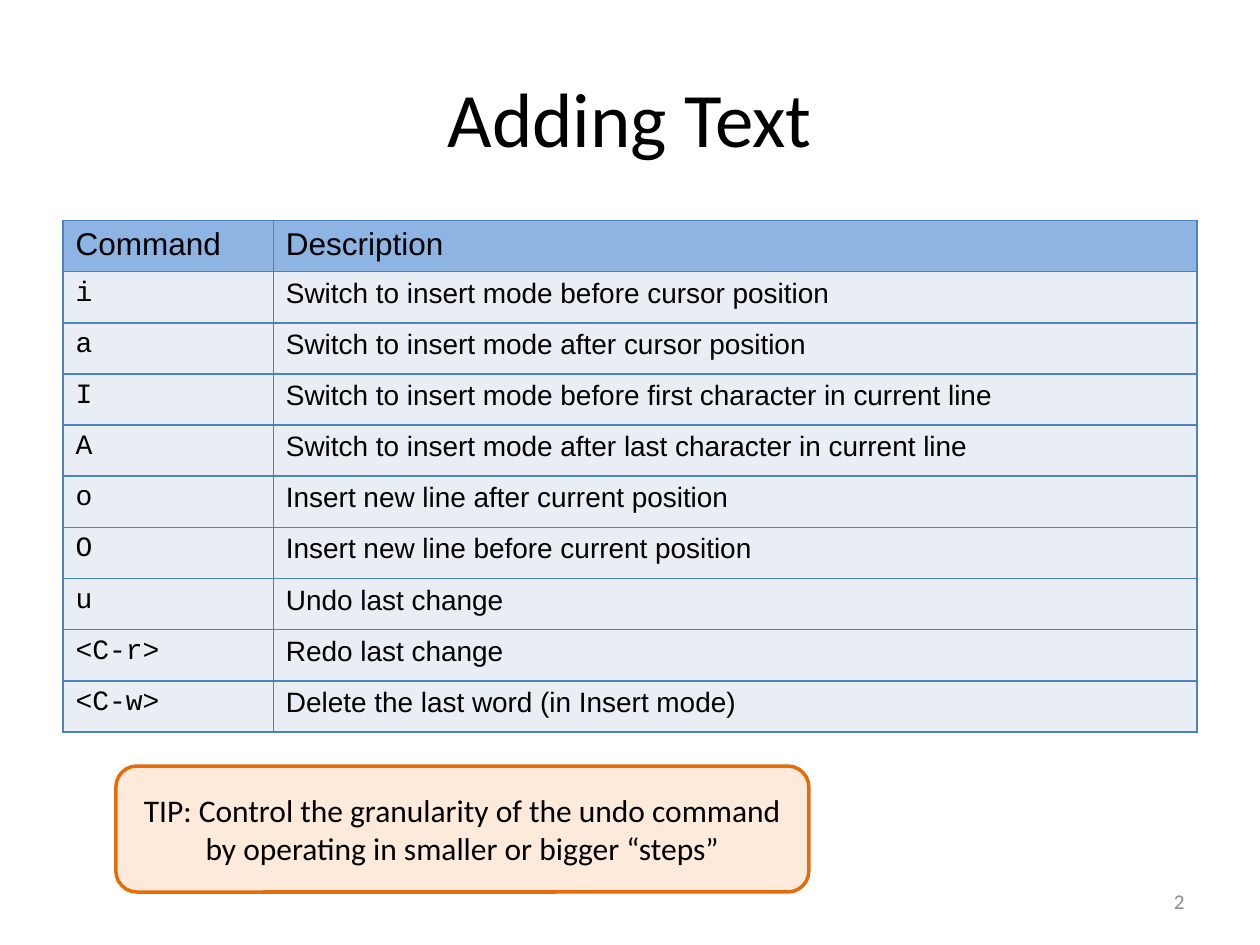
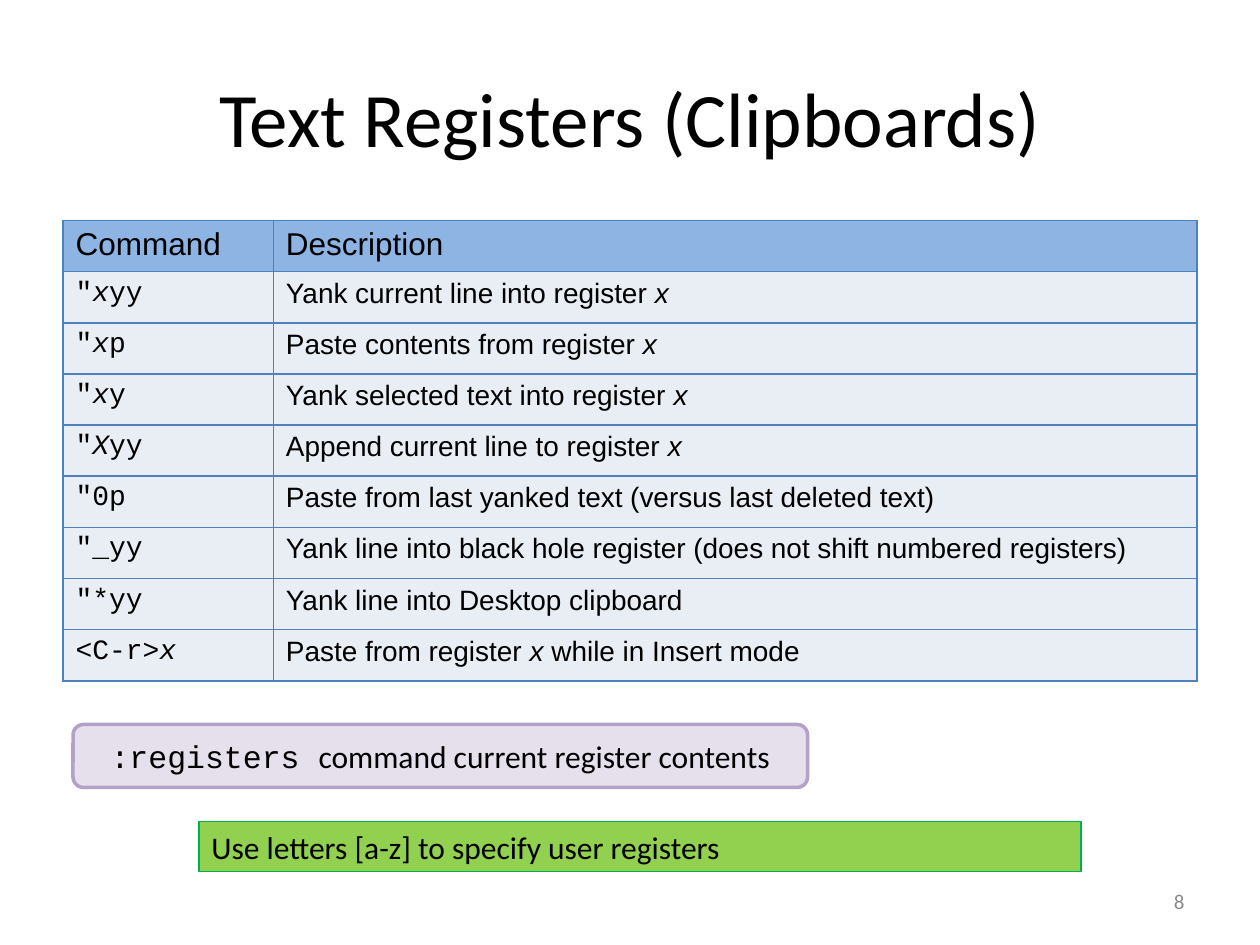
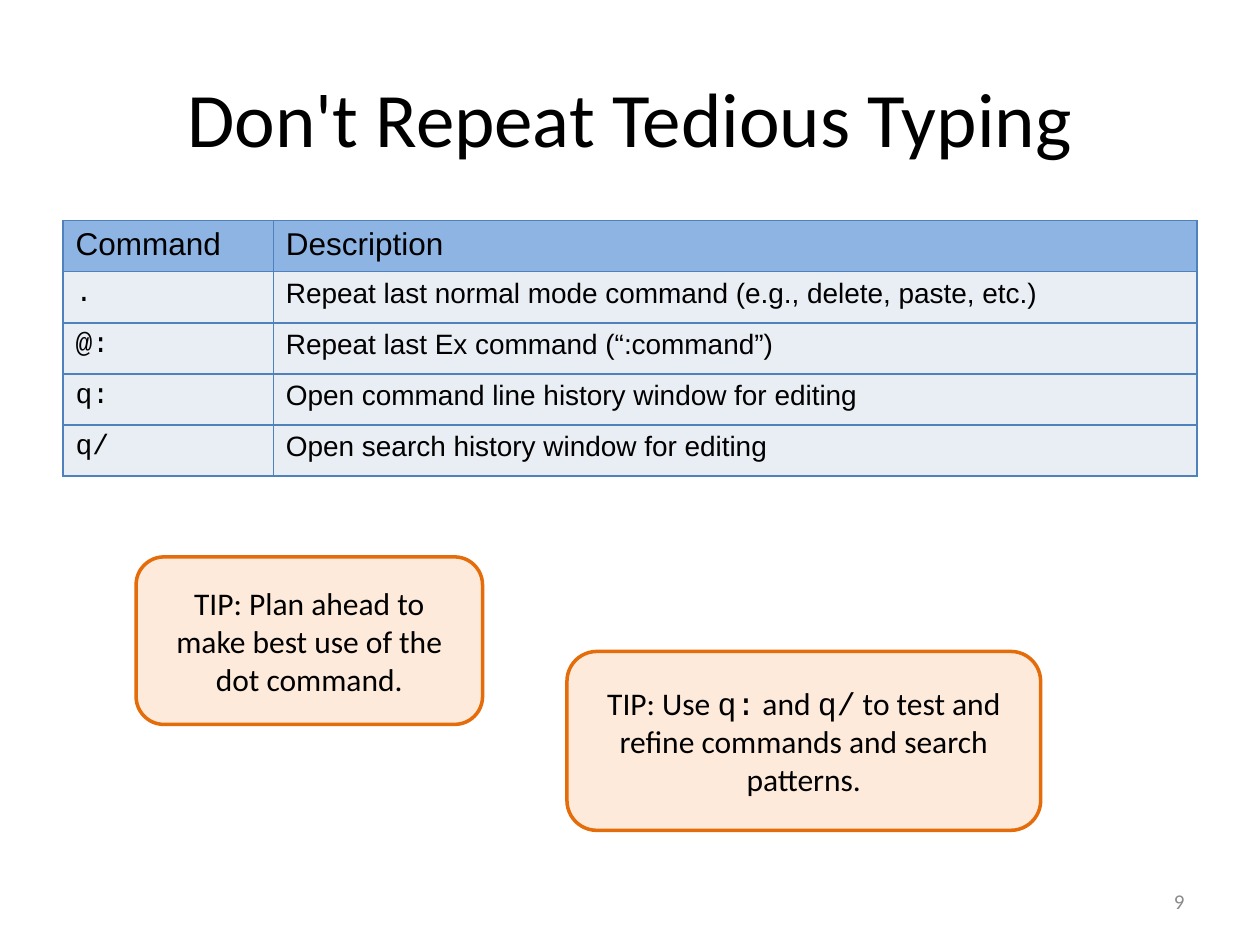
from lxml import etree
from pptx import Presentation
from pptx.dml.color import RGBColor
from pptx.enum.shapes import MSO_SHAPE as SHAPE
from pptx.enum.text import MSO_ANCHOR as ANCHOR, PP_ALIGN as ALIGN
from pptx.oxml.ns import qn
from pptx.util import Inches, Pt

COLORS = {
    "text": "000000", "number": "8B8B8B",
    "head": "8EB4E3", "body": "E9EDF4", "border": "4F81BD",
    "tip": "FDEADA", "tip_line": "E46C0A",
    "info": "E6E0EC", "info_line": "B3A2C7",
    "note": "92D050", "note_line": "00B050",
}
SANS, TABLE, CODE = "Calibri", "Arial", "Courier New"
COLUMNS = (1.67, 7.33)
ROW_HEIGHT = Pt(29.25)


def rgb(name):
    """Return the named colour."""
    return RGBColor.from_string(COLORS[name])


class Deck:
    """Holds the shared style, the presentation and the current slide."""

    def __init__(self):
        """Start an empty 4:3 presentation."""
        self.prs = Presentation()
        self.prs.slide_width, self.prs.slide_height = Inches(10), Inches(7.5)
        self.slide = None

    def set_text(self, tf, text, size, font=SANS, color="text", align=ALIGN.LEFT,
                 anchor=ANCHOR.MIDDLE, alt_font=None):
        """Fill a text frame; every second part between bars is code or italic."""
        tf.word_wrap = True
        tf.vertical_anchor = anchor
        p = tf.paragraphs[0]
        p.alignment = align
        p.font.name, p.font.size = font, Pt(size)
        p.font.color.rgb = rgb(color)
        for i, part in enumerate(text.split("|")):
            if not part:
                continue
            r = p.add_run()
            r.text = part
            if i % 2 and alt_font:
                r.font.name = alt_font
            elif i % 2:
                r.font.italic = True

    def new_slide(self, title, number):
        """Add a slide with its title and page number."""
        self.slide = self.prs.slides.add_slide(self.prs.slide_layouts[5])
        sp = self.slide.shapes.title
        sp.left, sp.top = Inches(0.5), Inches(0.3)
        sp.width, sp.height = Inches(9), Inches(1.25)
        self.set_text(sp.text_frame, title, 44, align=ALIGN.CENTER)
        box = self.slide.shapes.add_textbox(
            Inches(7.17), Inches(6.95), Inches(2.33), Inches(0.4))
        self.set_text(box.text_frame, str(number), 12, color="number", align=ALIGN.RIGHT)

    def cell(self, cell, text, size, font, fill):
        """Set one table cell's text, fill and four borders."""
        self.set_text(cell.text_frame, text, size, font)
        cell.vertical_anchor = ANCHOR.TOP
        cell.fill.solid()
        cell.fill.fore_color.rgb = rgb(fill)
        tc_pr = cell._tc.get_or_add_tcPr()
        for i, side in enumerate(("lnL", "lnR", "lnT", "lnB")):
            ln = etree.Element(qn("a:" + side), w=str(Pt(1)))
            solid = etree.SubElement(ln, qn("a:solidFill"))
            etree.SubElement(solid, qn("a:srgbClr"), val=COLORS["border"])
            tc_pr.insert(i, ln)

    def commands(self, rows):
        """Add the table of commands and descriptions."""
        count = len(rows) + 1
        table = self.slide.shapes.add_table(
            count, 2, Inches(0.5), Inches(1.75), Inches(9), ROW_HEIGHT * count).table
        table.first_row = table.horz_banding = False
        for column, width in zip(table.columns, COLUMNS):
            column.width = Inches(width)
        for i, head in enumerate(("Command", "Description")):
            self.cell(table.cell(0, i), head, 18, TABLE, "head")
        for i, row in enumerate(rows, 1):
            for j, (text, font) in enumerate(zip(row, (CODE, TABLE))):
                self.cell(table.cell(i, j), text, 16, font, "body")

    def callout(self, text, left, top, width, height, kind="tip",
                shape=SHAPE.ROUNDED_RECTANGLE, line_width=2, **style):
        """Add a filled and outlined shape with text."""
        sp = self.slide.shapes.add_shape(
            shape, Inches(left), Inches(top), Inches(width), Inches(height))
        sp.shadow.inherit = False
        sp.fill.solid()
        sp.fill.fore_color.rgb = rgb(kind)
        sp.line.color.rgb = rgb(kind + "_line")
        sp.line.width = Pt(line_width)
        style = {"align": ALIGN.CENTER, **style}
        self.set_text(sp.text_frame, text, 18, alt_font=CODE, **style)


deck = Deck()

deck.new_slide("Adding Text", 2)
deck.commands([
    ("i", "Switch to insert mode before cursor position"),
    ("a", "Switch to insert mode after cursor position"),
    ("I", "Switch to insert mode before first character in current line"),
    ("A", "Switch to insert mode after last character in current line"),
    ("o", "Insert new line after current position"),
    ("O", "Insert new line before current position"),
    ("u", "Undo last change"),
    ("<C-r>", "Redo last change"),
    ("<C-w>", "Delete the last word (in Insert mode)"),
])
deck.callout("TIP: Control the granularity of the undo command "
             "by operating in smaller or bigger “steps”", 0.92, 6.08, 5.5, 1)

deck.new_slide("Text Registers (Clipboards)", 8)
deck.commands([
    ('"|x|yy', "Yank current line into register |x"),
    ('"|x|p', "Paste contents from register |x"),
    ('"|x|y', "Yank selected text into register |x"),
    ('"|X|yy', "Append current line to register |x"),
    ('"0p', "Paste from last yanked text (versus last deleted text)"),
    ('"_yy', "Yank line into black hole register (does not shift numbered registers)"),
    ('"*yy', "Yank line into Desktop clipboard"),
    ("<C-r>|x", "Paste from register |x| while in Insert mode"),
])
deck.callout("Use letters [a-z] to specify user registers", 1.58, 6.52, 7, 0.4, "note",
             SHAPE.RECTANGLE, 0.75, align=ALIGN.LEFT, anchor=ANCHOR.TOP)
deck.callout("|:registers |command current register contents",
             0.58, 5.75, 5.83, 0.5, "info")

deck.new_slide("Don't Repeat Tedious Typing", 9)
deck.commands([
    (".", "Repeat last normal mode command (e.g., delete, paste, etc.)"),
    ("@:", "Repeat last Ex command (“:command”)"),
    ("q:", "Open command line history window for editing"),
    ("q/", "Open search history window for editing"),
])
deck.callout("TIP: Use |q:| and |q/| to test and refine commands and search patterns.",
             4.5, 5.17, 3.76, 1.42)
deck.callout("TIP: Plan ahead to make best use of the dot command.",
             1.08, 4.42, 2.75, 1.33)

deck.prs.save("out.pptx")
